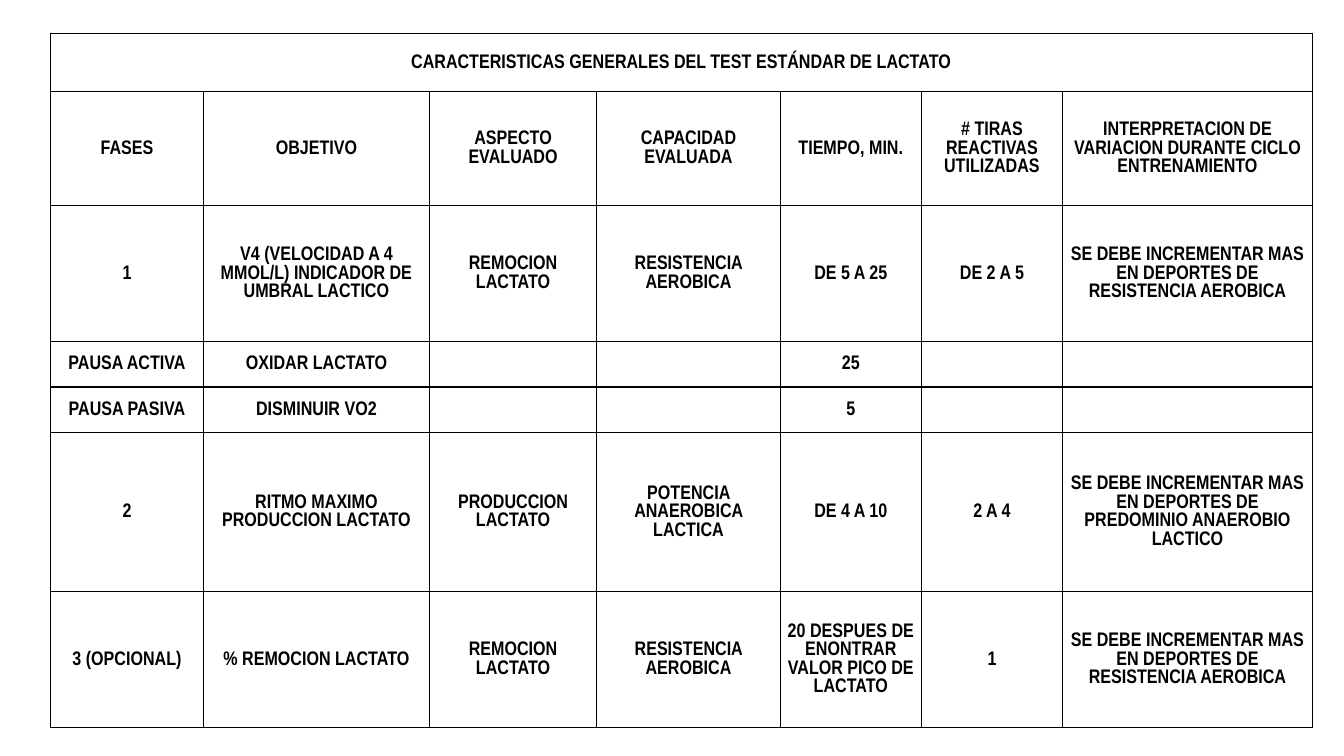
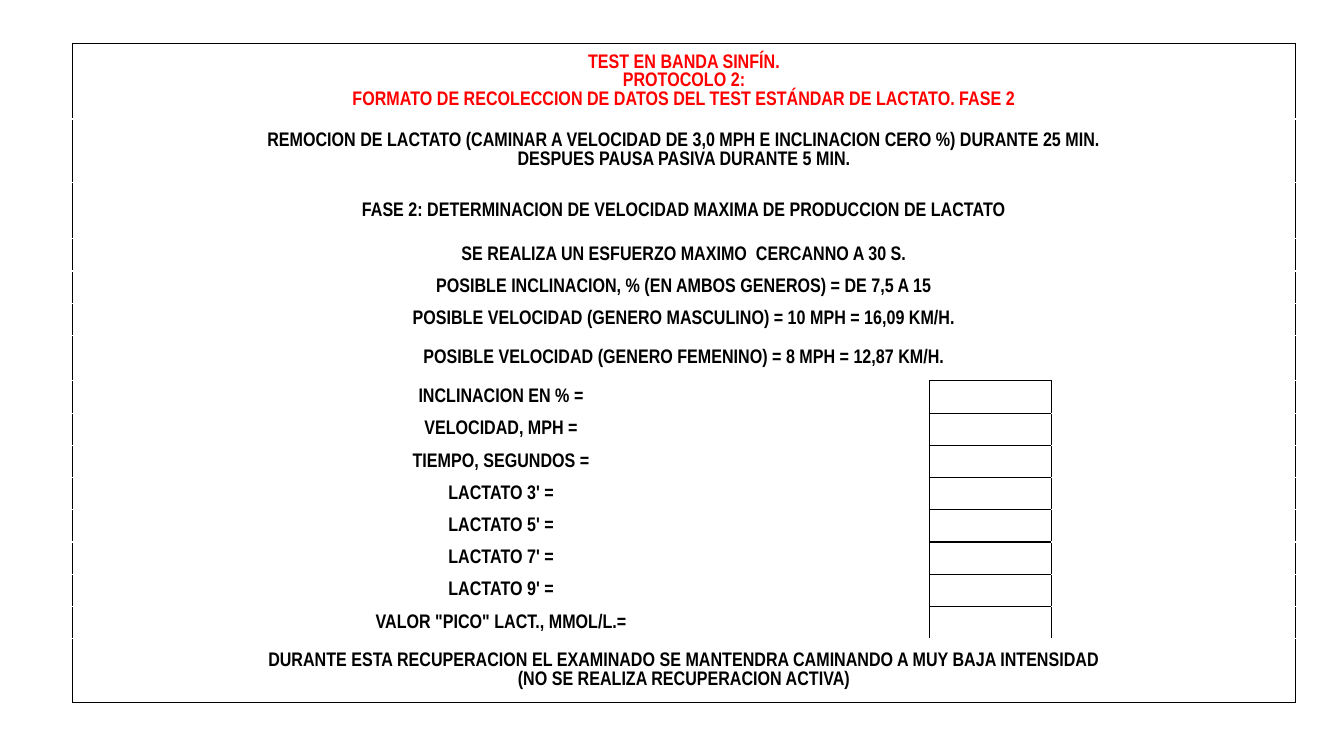
from lxml.etree import SubElement
from pptx import Presentation
from pptx.dml.color import RGBColor
from pptx.enum.text import MSO_ANCHOR, PP_ALIGN
from pptx.oxml.ns import qn
from pptx.util import Inches, Pt

BLACK = RGBColor(0x00, 0x00, 0x00)
WHITE = RGBColor(0xFF, 0xFF, 0xFF)
RED = RGBColor(0xFF, 0x00, 0x00)
FONT = "Arial Narrow"
TEXT_SIZE = Pt(14)
BORDER_WIDTH = Pt(1)
SIDES = "LRTB"
BLANK_LAYOUT = 6

SUMMARY_TITLE = "CARACTERISTICAS GENERALES DEL TEST ESTÁNDAR DE LACTATO"
AEROBIC_READING = "SE DEBE INCREMENTAR MAS EN DEPORTES DE RESISTENCIA AEROBICA"
SUMMARY_ROWS = [
    [SUMMARY_TITLE],
    ["FASES", "OBJETIVO", "ASPECTO EVALUADO", "CAPACIDAD EVALUADA", "TIEMPO, MIN.",
     "# TIRAS REACTIVAS UTILIZADAS",
     "INTERPRETACION DE VARIACION DURANTE CICLO ENTRENAMIENTO"],
    ["1", "V4 (VELOCIDAD A 4 MMOL/L) INDICADOR DE UMBRAL LACTICO", "REMOCION LACTATO",
     "RESISTENCIA AEROBICA", "DE 5 A 25", "DE 2 A 5", AEROBIC_READING],
    ["PAUSA ACTIVA", "OXIDAR LACTATO", "", "", "25", "", ""],
    ["PAUSA PASIVA", "DISMINUIR VO2", "", "", "5", "", ""],
    ["2", "RITMO MAXIMO PRODUCCION LACTATO", "PRODUCCION LACTATO",
     "POTENCIA ANAEROBICA LACTICA", "DE 4 A 10", "2 A 4",
     "SE DEBE INCREMENTAR MAS EN DEPORTES DE PREDOMINIO ANAEROBIO LACTICO"],
    ["3 (OPCIONAL)", "% REMOCION LACTATO", "REMOCION LACTATO", "RESISTENCIA AEROBICA",
     "20 DESPUES DE ENONTRAR VALOR PICO DE LACTATO", "1", AEROBIC_READING],
]
SUMMARY_WIDTHS = [1.52, 2.24, 1.66, 1.82, 1.4, 1.4, 2.48]
SUMMARY_HEIGHTS = [0.58, 1.13, 1.35, 0.45, 0.45, 1.58, 1.35]

FORM_TITLE = ("TEST EN BANDA SINFÍN.\nPROTOCOLO 2:\n"
              "FORMATO DE RECOLECCION DE DATOS DEL TEST ESTÁNDAR DE LACTATO. FASE 2")
INSTRUCTIONS = [
    "REMOCION DE LACTATO (CAMINAR A VELOCIDAD DE 3,0 MPH E INCLINACION CERO %) "
    "DURANTE 25 MIN.\nDESPUES PAUSA PASIVA DURANTE 5 MIN.",
    "FASE 2: DETERMINACION DE VELOCIDAD MAXIMA DE PRODUCCION DE LACTATO",
    "SE REALIZA UN ESFUERZO MAXIMO  CERCANNO A 30 S.",
    "POSIBLE INCLINACION, % (EN AMBOS GENEROS) = DE 7,5 A 15",
    "POSIBLE VELOCIDAD (GENERO MASCULINO) = 10 MPH = 16,09 KM/H.",
    "POSIBLE VELOCIDAD (GENERO FEMENINO) = 8 MPH = 12,87 KM/H.",
]
FIELDS = ["INCLINACION EN % =", "VELOCIDAD, MPH =", "TIEMPO, SEGUNDOS =",
          "LACTATO 3' =", "LACTATO 5' =", "LACTATO 7' =", "LACTATO 9' =",
          "VALOR \"PICO\" LACT., MMOL/L.="]
CLOSING = ("DURANTE ESTA RECUPERACION EL EXAMINADO SE MANTENDRA CAMINANDO A MUY BAJA "
           "INTENSIDAD\n(NO SE REALIZA RECUPERACION ACTIVA)")
FORM_WIDTHS = [8.5, 1.21, 1.21, 1.21]
FORM_HEIGHTS = [0.75, 0.63, 0.56] + [0.32] * 3 + [0.45] + [0.32] * len(FIELDS) + [0.63]
FIELD_EDGES = ["LR", SIDES, "L", "R"]


def add_grid(deck, left, top, widths, heights):
    """Add a page holding a plain table with the given column and row sizes."""
    page = deck.slides.add_slide(deck.slide_layouts[BLANK_LAYOUT])
    frame = page.shapes.add_table(len(heights), len(widths), Inches(left), Inches(top),
                                  Inches(sum(widths)), Inches(sum(heights)))
    grid = frame.table
    grid.first_row = grid.horz_banding = False
    for column, width in zip(grid.columns, widths):
        column.width = Inches(width)
    for row, height in zip(grid.rows, heights):
        row.height = Inches(height)
    return grid


def set_borders(cell, black_sides):
    """Draw the named sides of a cell in black and the others in white."""
    properties = cell._tc.get_or_add_tcPr()
    for side in SIDES:
        line = SubElement(properties, qn(f"a:ln{side}"), w=str(BORDER_WIDTH))
        fill = SubElement(line, qn("a:solidFill"))
        color = BLACK if side in black_sides else WHITE
        SubElement(fill, qn("a:srgbClr"), val=str(color))


def format_cell(cell, text="", color=BLACK, black_sides=SIDES, fill=None):
    """Write centred bold text in a cell and set its borders and fill."""
    cell.margin_left = cell.margin_right = cell.margin_top = Inches(0.01)
    cell.margin_bottom = 0
    cell.vertical_anchor = MSO_ANCHOR.MIDDLE
    cell.text = text
    for para in cell.text_frame.paragraphs:
        para.alignment = PP_ALIGN.CENTER
        para.font.name = FONT
        para.font.size = TEXT_SIZE
        para.font.bold = True
        para.font.color.rgb = color
    set_borders(cell, black_sides)
    if fill is None:
        cell.fill.background()
    else:
        cell.fill.solid()
        cell.fill.fore_color.rgb = fill


def fill_row(grid, index, texts, edges=None, color=BLACK, fill=None):
    """Fill one row, merging it into a single cell when it has only one text."""
    cells = list(grid.rows[index].cells)
    if len(texts) == 1:
        cells[0].merge(cells[-1])
        texts = texts + [""] * (len(cells) - 1)
    for cell, text, sides in zip(cells, texts, edges or [SIDES] * len(cells)):
        format_cell(cell, text, color, sides, fill)


def add_summary(deck):
    """Add the page that sums up the phases of the test."""
    grid = add_grid(deck, 0.5, 0.33, SUMMARY_WIDTHS, SUMMARY_HEIGHTS)
    for index, texts in enumerate(SUMMARY_ROWS):
        fill_row(grid, index, texts)


def add_form(deck):
    """Add the page with the data collection form of phase 2."""
    grid = add_grid(deck, 0.72, 0.43, FORM_WIDTHS, FORM_HEIGHTS)
    count = len(FORM_WIDTHS)
    fill_row(grid, 0, [FORM_TITLE], ["LRT"] * count, RED, WHITE)
    for index, text in enumerate(INSTRUCTIONS, 1):
        fill_row(grid, index, [text], ["LR"] * count, fill=WHITE)
    for index, text in enumerate(FIELDS, 1 + len(INSTRUCTIONS)):
        fill_row(grid, index, [text, "", "", ""], FIELD_EDGES, fill=WHITE)
    fill_row(grid, len(FORM_HEIGHTS) - 1, [CLOSING], ["LRB"] * count, fill=WHITE)


def main():
    """Build and save the deck."""
    deck = Presentation()
    deck.slide_width, deck.slide_height = Inches(13.33), Inches(7.5)
    add_summary(deck)
    add_form(deck)
    deck.save("out.pptx")


if __name__ == "__main__":
    main()
